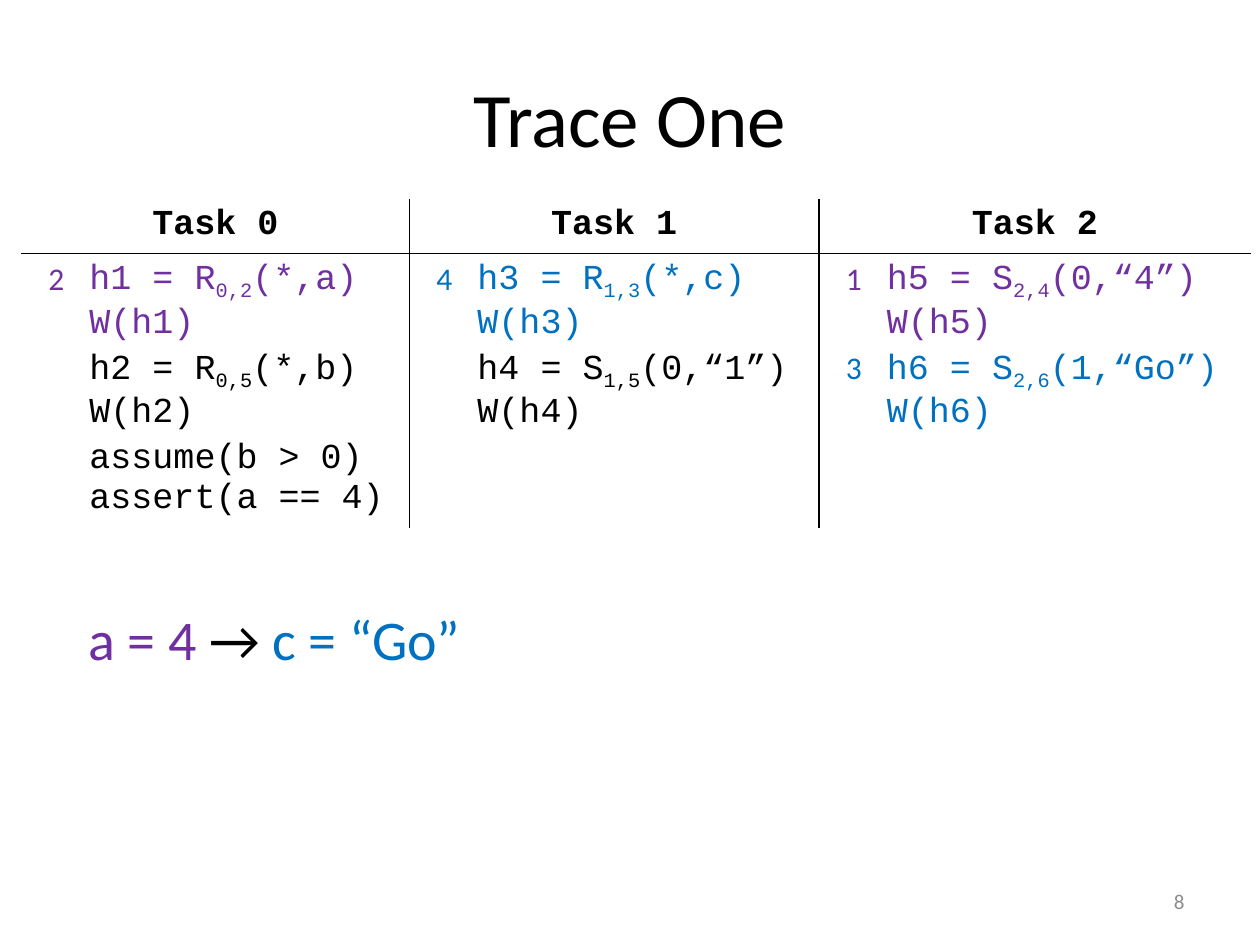
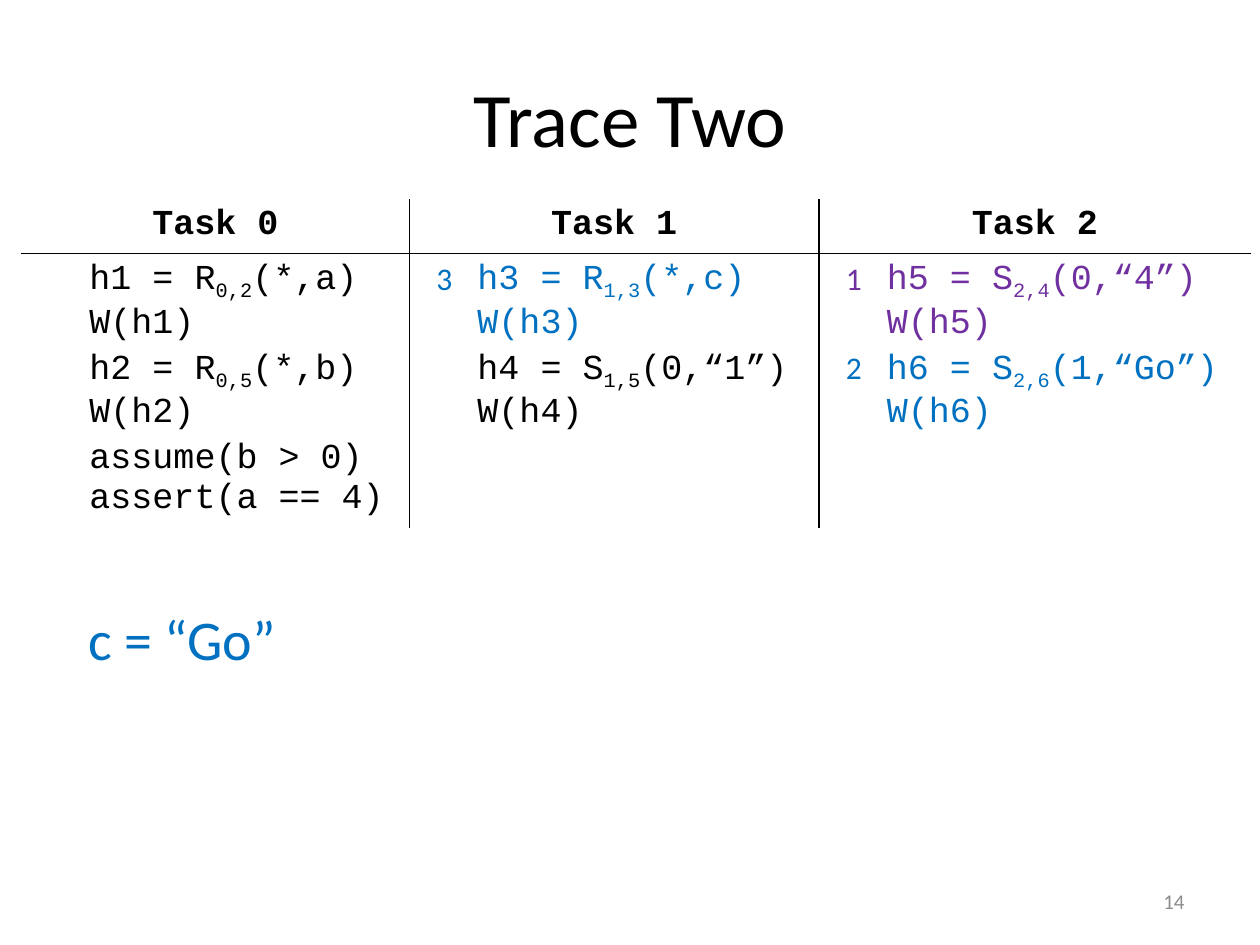
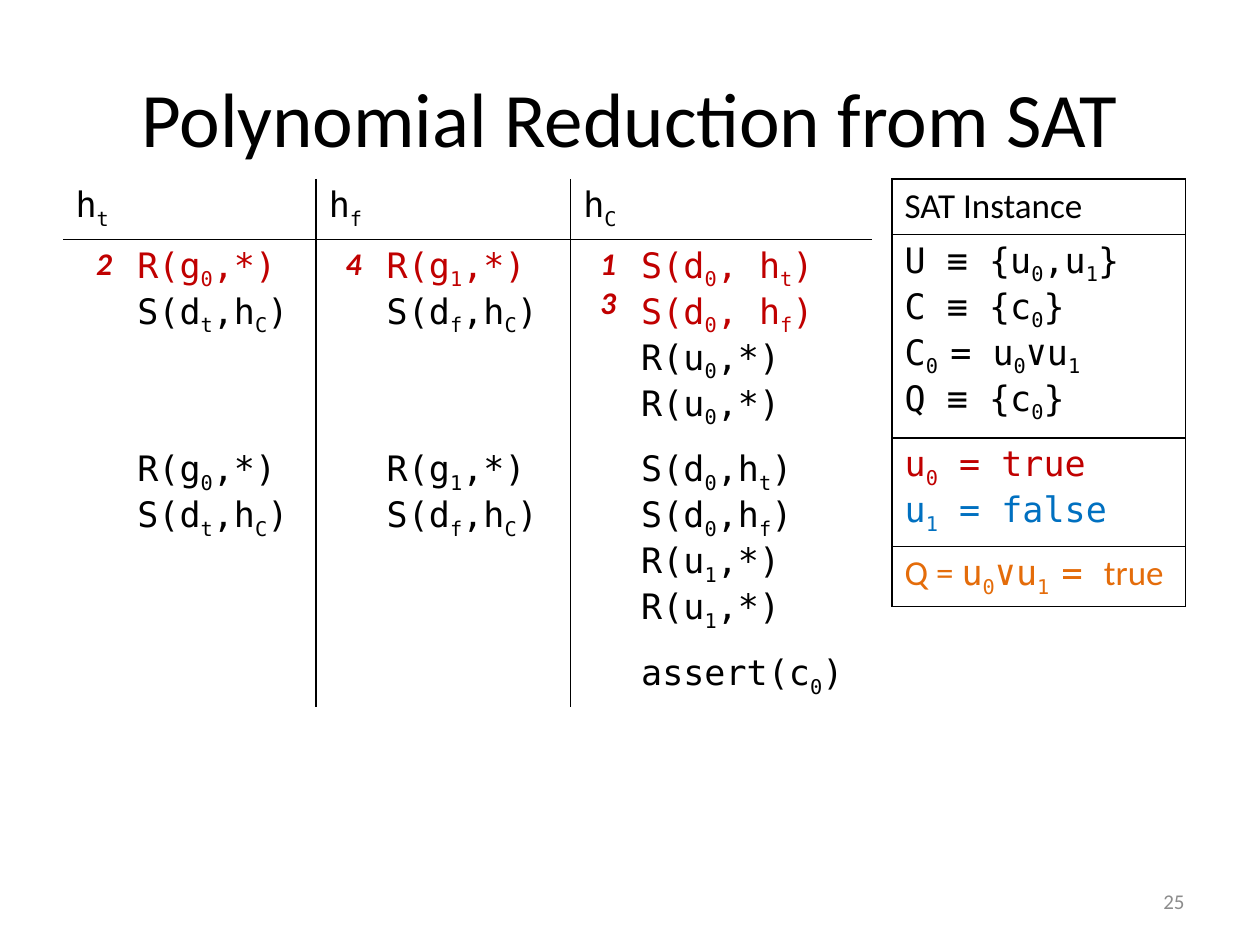
from lxml import etree
from pptx import Presentation
from pptx.dml.color import RGBColor
from pptx.enum import text
from pptx.oxml import ns
from pptx.util import Inches, Pt

COLORS = {"ink": "000000", "paper": "FFFFFF", "number": "8C8C8C", "purple": "7030A0",
          "blue": "0070C0", "red": "C00000", "orange": "E46C0A"}

# name: (font, size, bold, italic)
STYLES = {
    "title": ("Calibri", 44, False, False),
    "number": ("Calibri", 12, False, False),
    "result": ("Calibri", 32, False, False),
    "prose": ("Calibri", 20, False, False),
    "step": ("Calibri", 18, False, False),
    "strong step": ("Calibri", 18, True, True),
    "code": ("Courier New", 20, False, False),
    "task": ("Courier New", 20, True, False),
    "formula": ("DejaVu Sans Mono", 20, False, False),
}

# Text between two ~ marks is subscript.
TASKS = ["Task 0", "Task 1", "Task 2"]
TASK_CODE = [
    [["h1 = R~0,2~(*,a)", "W(h1)"], ["h3 = R~1,3~(*,c)", "W(h3)"],
     ["h5 = S~2,4~(0,“4”)", "W(h5)"]],
    [["h2 = R~0,5~(*,b)", "W(h2)"], ["h4 = S~1,5~(0,“1”)", "W(h4)"],
     ["h6 = S~2,6~(1,“Go”)", "W(h6)"]],
    [["assume(b > 0)", "assert(a == 4)"], [], []],
]
TRACES = [
    {"title": "Trace One", "number": 8, "width": 3.32,
     # (block row, task): (step, colour)
     "steps": {(0, 0): ("2", "purple"), (0, 1): ("4", "blue"),
               (0, 2): ("1", "purple"), (1, 2): ("3", "blue")},
     "result": [("a = 4 ", "purple"), ("→ ", "ink"), ("c = “Go”", "blue")]},
    {"title": "Trace Two", "number": 14, "width": 1.71,
     "steps": {(0, 1): ("3", "blue"), (0, 2): ("1", "purple"), (1, 2): ("2", "blue")},
     "result": [("c = “Go”", "blue")]},
]
TRACE_COLS = [0.44, 2.64, 0.44, 2.81, 0.44, 2.99]
TRACE_ROWS = [0.42, 0.72, 0.66, 0.7]

HANDLES = ["h~t~", "h~f~", "h~C~"]
ROUNDS = [
    [["R(g~0~,*)", "S(d~t~,h~C~)"], ["R(g~1~,*)", "S(d~f~,h~C~)"],
     ["S(d~0~, h~t~)", "S(d~0~, h~f~)", "R(u~0~,*)", "R(u~0~,*)"]],
    [["R(g~0~,*)", "S(d~t~,h~C~)"], ["R(g~1~,*)", "S(d~f~,h~C~)"],
     ["S(d~0~,h~t~)", "S(d~0~,h~f~)", "R(u~1~,*)", "R(u~1~,*)"]],
    [[], [], ["assert(c~0~)"]],
]
ROUND_STEPS = [["2"], ["4"], ["1", "3"]]  # first round, one red line per step
ROUND_COLS = [0.49, 1.52, 0.46, 1.56, 0.46, 1.93]
ROUND_ROWS = [0.46, 1.55, 1.55, 0.46]

SAT_CELLS = [
    [[("SAT Instance", "ink", "prose")]],
    [[(line, "ink", "formula")] for line in
     ("U ≡ {u~0~,u~1~}", "C ≡ {c~0~}", "C~0 ~= u~0~∨u~1~", "Q ≡ {c~0~}")],
    [[("u~0~ = true", "red", "formula")], [("u~1~ = false", "blue", "formula")]],
    [[("Q = ", "orange", "prose"), ("u~0~∨u~1 ~= ", "orange", "formula"),
      ("true", "orange", "prose")]],
]
SAT_ROWS = [0.44, 1.55, 0.83, 0.46]


def write(tf, lines, align="LEFT"):
    """Fill a text frame; each line is a list of (text, colour, style)."""
    for i, line in enumerate(lines):
        p = tf.add_paragraph() if i else tf.paragraphs[0]
        p.alignment = text.PP_ALIGN[align]
        for words, color, style in line:
            font, size, bold, italic = STYLES[style]
            for k, part in enumerate(words.split("~")):
                if not part:
                    continue
                r = p.add_run()
                r.text = part
                r.font.name, r.font.size = font, Pt(size)
                r.font.bold, r.font.italic = bold, italic
                r.font.color.rgb = RGBColor.from_string(COLORS[color])
                if k % 2:
                    r._r.get_or_add_rPr().set("baseline", "-25000")


def add_text(s, box, lines, align="LEFT", anchor="MIDDLE", wrap=True):
    tf = s.shapes.add_textbox(*map(Inches, box)).text_frame
    tf.word_wrap = wrap
    tf.vertical_anchor = text.MSO_ANCHOR[anchor]
    if not wrap:
        tf.auto_size = text.MSO_AUTO_SIZE.SHAPE_TO_FIT_TEXT
    write(tf, lines, align)


def add_page(prs, title, number):
    s = prs.slides.add_slide(prs.slide_layouts[6])
    add_text(s, (0.5, 0.3, 9, 1.25), [[(title, "ink", "title")]], "CENTER")
    add_text(s, (7.17, 6.95, 2.33, 0.4), [[(str(number), "number", "number")]], "RIGHT")
    return s


def add_plain_table(s, left, top, cols, rows):
    box = map(Inches, (left, top, sum(cols), sum(rows)))
    table = s.shapes.add_table(len(rows), len(cols), *box).table
    table.first_row = table.horz_banding = False
    for column, width in zip(table.columns, cols):
        column.width = Inches(width)
    for row, height in zip(table.rows, rows):
        row.height = Inches(height)
    return table


def dress(cell, sides, fill=None):
    """Rule the named sides (of "LRTB"), clear the others and set the fill."""
    tcPr = cell._tc.get_or_add_tcPr()
    for side in "LRTB":
        ln = etree.SubElement(tcPr, ns.qn(f"a:ln{side}"), w=str(Pt(1)))
        if side in sides:
            solid = etree.SubElement(ln, ns.qn("a:solidFill"))
            etree.SubElement(solid, ns.qn("a:srgbClr"), val=COLORS["ink"])
        else:
            etree.SubElement(ln, ns.qn("a:noFill"))
    if fill:
        cell.fill.solid()
        cell.fill.fore_color.rgb = RGBColor.from_string(COLORS[fill])
    else:
        cell.fill.background()


def add_task_grid(s, left, top, cols, rows, heads, head_align, body, fill=None, tight=False):
    """Columns come in pairs, step and code; body[row][task] is (step lines, code lines)."""
    table = add_plain_table(s, left, top, cols, rows)
    last = len(cols) - 1
    for r in range(len(rows)):
        for c in range(len(cols)):
            cell = table.cell(r, c)
            sides = "B" if r == 0 else "T" if r == 1 else ""
            if c % 2 == 0 and c > 0:
                sides += "L"
            if c < last and (c % 2 or r == 0 and c < last - 1):
                sides += "R"
            dress(cell, sides, fill)
            if r == 0:
                continue
            lines = body[r - 1][c // 2][c % 2]
            if tight and lines:
                cell.margin_top = Inches(0.05 if r == 1 else 0)
                cell.margin_bottom = 0
            write(cell.text_frame, lines, "LEFT" if c % 2 else "RIGHT")
    for i, head in enumerate(heads):
        cell = table.cell(0, 2 * i)
        cell.merge(table.cell(0, 2 * i + 1))
        write(cell.text_frame, [[head]], head_align)


def add_trace(prs, trace):
    s = add_page(prs, trace["title"], trace["number"])
    body = []
    for r, blocks in enumerate(TASK_CODE):
        body.append([])
        for task, block in enumerate(blocks):
            step, color = trace["steps"].get((r, task), ("", "ink"))
            steps = [[(step, color, "step")]] if step else []
            body[r].append((steps, [[(line, color, "code")] for line in block]))
    heads = [(name, "ink", "task") for name in TASKS]
    add_task_grid(s, 0.17, 1.58, TRACE_COLS, TRACE_ROWS, heads, "CENTER", body, "paper", True)
    result = [(words, color, "result") for words, color in trace["result"]]
    add_text(s, (0.6, 4.75, trace["width"], 0.64), [result], anchor="TOP", wrap=False)


def add_reduction(prs):
    s = add_page(prs, "Polynomial Reduction from SAT", 25)
    sat = add_plain_table(s, 7.08, 1.42, [2.33], SAT_ROWS)
    for r, lines in enumerate(SAT_CELLS):
        dress(sat.cell(r, 0), "LRTB")
        write(sat.cell(r, 0).text_frame, lines)

    body = []
    for r, blocks in enumerate(ROUNDS):
        body.append([])
        for task, block in enumerate(blocks):
            steps = ROUND_STEPS[task] if r == 0 else []
            code = [[(line, "red" if i < len(steps) else "ink", "formula")]
                    for i, line in enumerate(block)]
            body[r].append(([[(step, "red", "strong step")] for step in steps], code))
    heads = [(name, "ink", "formula") for name in HANDLES]
    add_task_grid(s, 0.5, 1.42, ROUND_COLS, ROUND_ROWS, heads, "LEFT", body)


def main():
    prs = Presentation()
    prs.slide_width, prs.slide_height = Inches(10), Inches(7.5)
    for trace in TRACES:
        add_trace(prs, trace)
    add_reduction(prs)
    prs.save("out.pptx")


if __name__ == "__main__":
    main()
